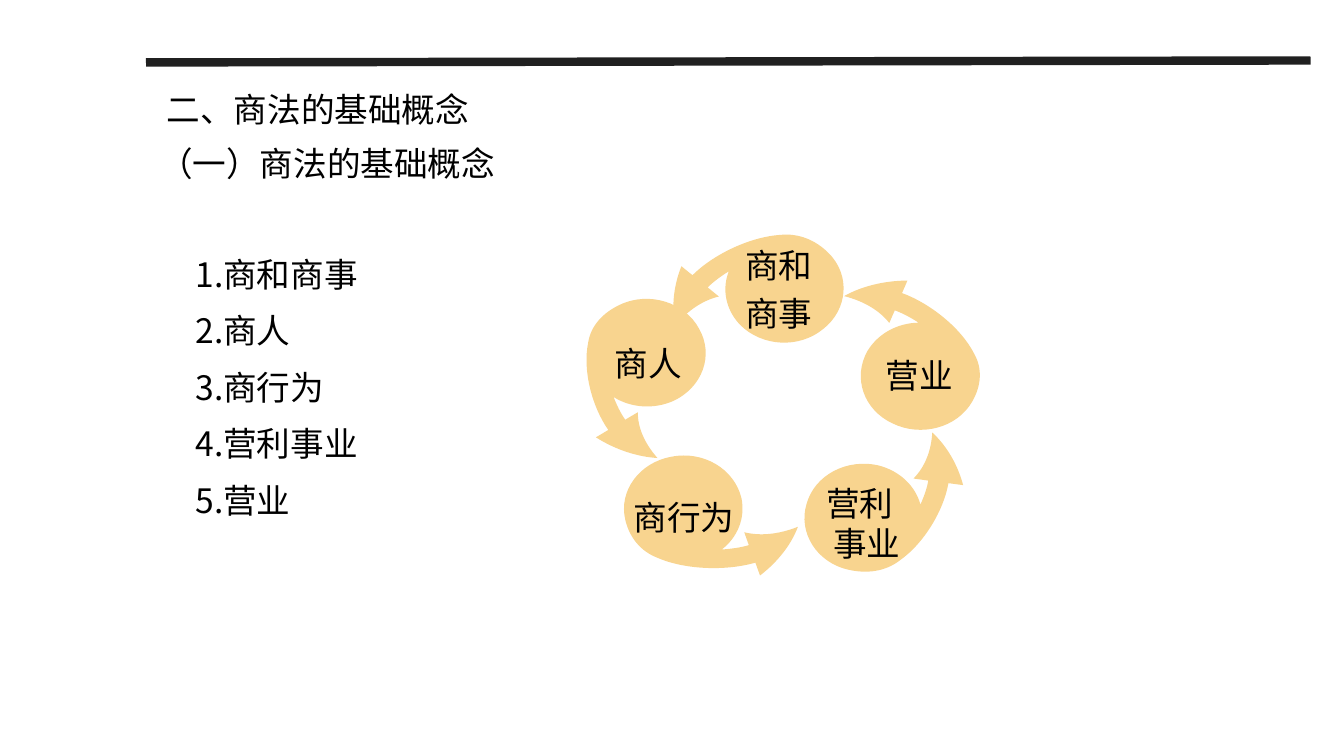
from dataclasses import dataclass
from math import cos, radians, sin

from pptx import Presentation
from pptx.dml.color import RGBColor
from pptx.enum.shapes import MSO_CONNECTOR as Connector
from pptx.enum.text import PP_ALIGN as Align
from pptx.oxml.ns import qn
from pptx.slide import Slide
from pptx.util import Pt

BLACK = RGBColor(0x00, 0x00, 0x00)
CHARCOAL = RGBColor(0x20, 0x20, 0x20)
SAND = RGBColor(0xF8, 0xD4, 0x8F)
FONT = "Noto Sans CJK SC"
TEXT_FORMAT = {"name": FONT, "size": Pt(24)}

# One link of the ring: a disc whose tail ends in an arrowhead, around (0, 0).
# Each row holds two control points and an end point.
LINK_START = (-59.6, -9.4)
LINK_CURVES = [
    ((-46.5, -23.8), (-22.9, -36.7), (-2.6, -38.2)),
    ((9.2, -39.6), (20.3, -34.6), (28.8, -25.2)),
    ((43.2, -9.4), (41.2, 15.1), (25.5, 28.8)),
    ((9.8, 43.2), (-14.4, 41.8), (-28.8, 25.9)),
    ((-38, 15.1), (-40.6, 0.7), (-36, -12.2)),
    ((-41.2, -8.6), (-45.8, -5), (-49.7, -0.7)),
    ((-47.3, 1.5), (-44.9, 3.6), (-42.5, 5.8)),
    ((-53, 8.6), (-62.8, 15.8), (-70.7, 26.6)),
    ((-73.3, 13.7), (-72, -1.4), (-66.8, -15.8)),
    ((-64.4, -13.7), (-62, -11.5), LINK_START),
]
STRETCH = 1.1


@dataclass
class Link:
    x: float
    y: float
    turn: float


@dataclass
class Label:
    lines: list[str]
    left: float
    top: float
    width: float
    height: float
    spacing: float = 1.0
    inset: tuple[float, float] = (7.2, 3.6)
    align: Align = Align.LEFT
    indents: tuple[float, ...] = ()
    gap: float = 0
    numbered: bool = False


LINKS = [
    Link(488, 364, -150),
    Link(617, 370, -213.3),
    Link(461.5, 252, -75),
    Link(560.2, 206, 0),
    Link(657.5, 268.5, -290.4),
]

FLUSH = {"spacing": 1.2, "inset": (0, 0), "align": Align.CENTER}
LABELS = [
    Label(["二、商法的基础概念", "（一）商法的基础概念"], 106.6, 59.8, 684.7, 109.4,
          indents=(5.4, 0), gap=10),
    Label(["商和", "商事"], 519.1, 169.2, 74.2, 69.8, **FLUSH),
    Label(["商人"], 424.1, 239, 77.8, 34.6, **FLUSH),
    Label(["商行为"], 442.1, 349.2, 92.9, 34.6, **FLUSH),
    Label(["营业"], 614.2, 249.8, 74.9, 36, align=Align.CENTER, indents=(10,)),
    Label(["营利", "事业"], 570.2, 341.3, 87.8, 65.5, align=Align.CENTER, indents=(-5, 10)),
    Label(["商和商事", "商人", "商行为", "营利事业", "营业"], 132.5, 166.3, 200.2, 211,
          spacing=1.4, numbered=True),
]


def draw_link(page: Slide, link: Link) -> None:
    c, s = cos(radians(link.turn)), sin(radians(link.turn))
    outline = [LINK_START] + [point for curve in LINK_CURVES for point in curve]
    points = [(Pt(link.x + STRETCH * (x * c - y * s)), Pt(link.y + x * s + y * c))
              for x, y in outline]
    builder = page.shapes.build_freeform(*points[0])
    builder.add_line_segments(points[1:], close=True)
    shape = builder.convert_to_shape()
    shape.shadow.inherit = False
    shape.fill.solid()
    shape.fill.fore_color.rgb = SAND
    shape.line.fill.background()

    # Gather each three points into one cubic curve
    steps = list(shape._element.iter(qn("a:lnTo")))
    for index in range(0, len(LINK_CURVES) * 3, 3):
        trio = steps[index:index + 3]
        curve = trio[0].makeelement(qn("a:cubicBezTo"), {})
        trio[0].addprevious(curve)
        for step in trio:
            curve.append(step[0])
            step.getparent().remove(step)


def draw_label(page: Slide, label: Label) -> None:
    box = page.shapes.add_textbox(
        Pt(label.left), Pt(label.top), Pt(label.width), Pt(label.height))
    frame = box.text_frame
    across, down = map(Pt, label.inset)
    frame_format = {"word_wrap": True, "margin_left": across, "margin_right": across,
                    "margin_top": down, "margin_bottom": down}
    for key, value in frame_format.items():
        setattr(frame, key, value)
    for index, line in enumerate(label.lines):
        para = frame.add_paragraph() if index else frame.paragraphs[0]
        para_format = {"alignment": label.align, "line_spacing": label.spacing,
                       "space_before": Pt(label.gap if index else 0)}
        for key, value in para_format.items():
            setattr(para, key, value)
        properties = para._p.get_or_add_pPr()
        if label.indents:
            properties.set("marL", "0")
            properties.set("indent", str(Pt(label.indents[index])))
        if label.numbered:
            number = properties.makeelement(qn("a:buAutoNum"), {"type": "arabicPeriod"})
            properties.append(number)
        span = para.add_run()
        span.text = line
        for key, value in TEXT_FORMAT.items():
            setattr(span.font, key, value)
        span.font.color.rgb = BLACK
        run_properties = span._r.get_or_add_rPr()
        east_asian = run_properties.makeelement(qn("a:ea"), {"typeface": FONT})
        run_properties.find(qn("a:latin")).addnext(east_asian)


def draw_rule(page: Slide) -> None:
    rule = page.shapes.add_connector(
        Connector.STRAIGHT, Pt(107.3), Pt(44.6), Pt(933.1), Pt(43.2))
    rule.line.color.rgb = CHARCOAL
    rule.line.width = Pt(6)
    properties = rule._element.spPr
    properties.find(qn("a:ln")).set("cap", "sq")
    properties.append(properties.makeelement(qn("a:effectLst"), {}))


def main() -> None:
    deck = Presentation()
    deck.slide_width, deck.slide_height = Pt(960), Pt(540)
    page = deck.slides.add_slide(deck.slide_layouts[6])

    # Rule across the top
    draw_rule(page)

    # Ring of arrows
    for link in LINKS:
        draw_link(page, link)

    # Heading, ring labels and numbered list
    for label in LABELS:
        draw_label(page, label)

    deck.save("out.pptx")


if __name__ == "__main__":
    main()
